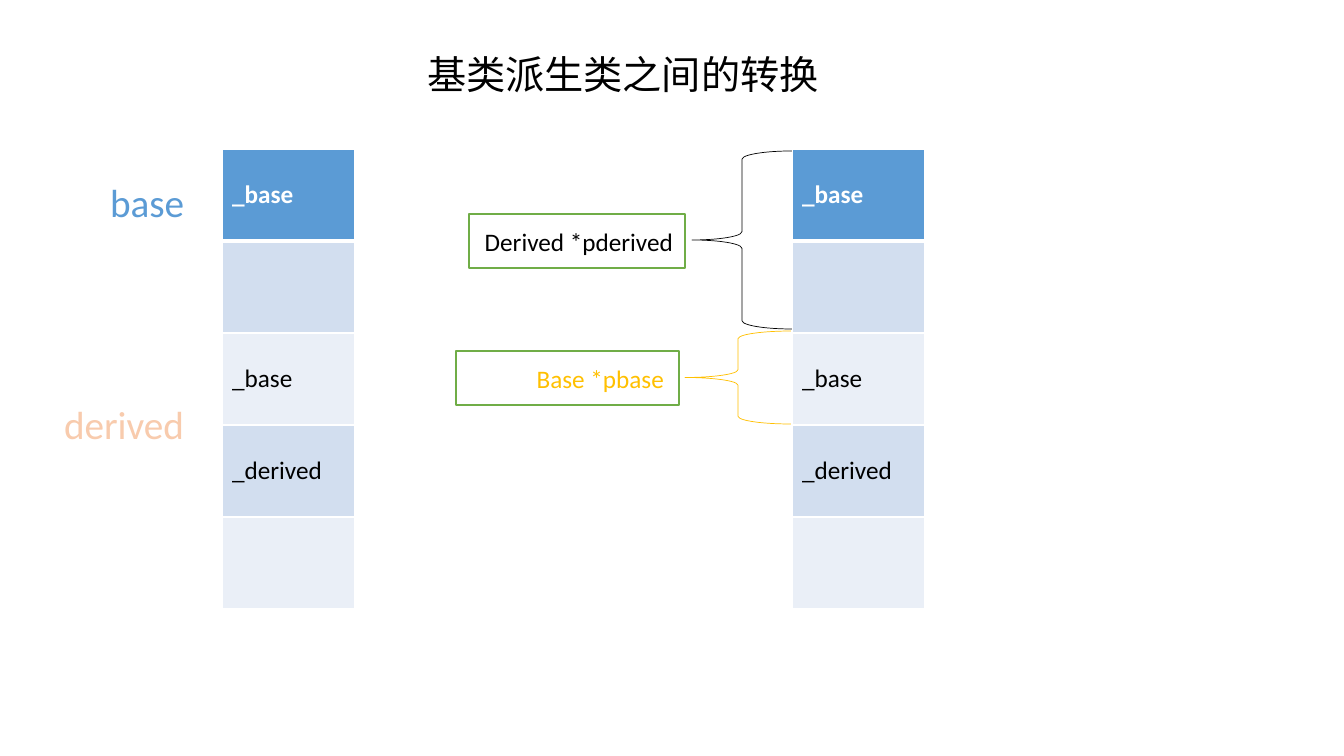
"""Builds the slide on conversion between base and derived class pointers."""
from lxml import etree
from pptx import Presentation
from pptx.dml.color import RGBColor
from pptx.enum.shapes import MSO_SHAPE
from pptx.enum.text import MSO_ANCHOR, PP_ALIGN
from pptx.oxml.ns import qn
from pptx.util import Emu, Pt

RECTANGLE, BRACE = MSO_SHAPE.RECTANGLE, MSO_SHAPE.LEFT_BRACE
TOP, MIDDLE = MSO_ANCHOR.TOP, MSO_ANCHOR.MIDDLE
LEFT, RIGHT = PP_ALIGN.LEFT, PP_ALIGN.RIGHT

BLACK = RGBColor(0x00, 0x00, 0x00)
WHITE = RGBColor(0xFF, 0xFF, 0xFF)
BLUE = RGBColor(0x5B, 0x9B, 0xD5)
BAND_DARK = RGBColor(0xD2, 0xDE, 0xEF)
BAND_LIGHT = RGBColor(0xEA, 0xEF, 0xF7)
PEACH = RGBColor(0xF8, 0xCB, 0xAD)
GREEN = RGBColor(0x70, 0xAD, 0x47)
GOLD = RGBColor(0xFF, 0xC0, 0x00)

FONT = "Calibri"
TITLE = ("基类派生类之间的转换", (417, 45, 451, 57))
MEMBERS = ["_base", "", "_base", "_derived", ""]
MEMORY_LEFTS = [222, 792]
MEMORY_TOP, MEMORY_WIDTH, ROW_HEIGHT = 149, 133, 92
CLASS_LABELS = [
    ("base", BLUE, (54, 173, 140, 57)),
    ("derived", PEACH, (19, 395, 175, 57)),
]
POINTERS = [
    ("Base *pbase", GOLD, (456, 351, 223, 54), 15, (685, 331, 106, 93)),
    ("Derived *pderived", BLACK, (469, 214, 216, 54), 12, (692, 151, 100, 178)),
]


def px(length):
    return Emu(round(length * 914400 / 100.8))


def place(box):
    return [px(length) for length in box]


def write(frame, text, size, color, align=LEFT, bold=False):
    paragraph = frame.paragraphs[0]
    paragraph.alignment = align
    run = paragraph.add_run()
    run.text = text
    run.font.name = FONT
    run.font.size = Pt(size)
    run.font.bold = bold
    run.font.color.rgb = color


def add_border(cell, side, points):
    line = etree.SubElement(cell._tc.get_or_add_tcPr(), qn(f"a:ln{side}"), w=str(Pt(points)))
    fill = etree.SubElement(line, qn("a:solidFill"))
    etree.SubElement(fill, qn("a:srgbClr"), val=str(WHITE))


def add_memory(slide, left):
    box = (left, MEMORY_TOP, MEMORY_WIDTH, ROW_HEIGHT * len(MEMBERS))
    table = slide.shapes.add_table(len(MEMBERS), 1, *place(box)).table
    for index, member in enumerate(MEMBERS):
        header = index == 0
        table.rows[index].height = px(ROW_HEIGHT)
        cell = table.cell(index, 0)
        cell.vertical_anchor = MIDDLE
        for side in "LRTB":
            thick = (index, side) in [(0, "B"), (1, "T")]
            add_border(cell, side, 3 if thick else 1)
        cell.fill.solid()
        cell.fill.fore_color.rgb = BLUE if header else (BAND_LIGHT, BAND_DARK)[index % 2]
        if member:
            write(cell.text_frame, member, 18, WHITE if header else BLACK, bold=header)


def add_outlined(slide, kind, box, color, points):
    shape = slide.shapes.add_shape(kind, *place(box))
    shape.shadow.inherit = False
    shape.fill.background()
    shape.line.color.rgb = color
    shape.line.width = Pt(points)
    return shape


def main():
    deck = Presentation()
    deck.slide_width, deck.slide_height = px(1344), px(756)
    slide = deck.slides.add_slide(deck.slide_layouts[5])

    heading, heading_box = TITLE
    title = slide.shapes.title
    title.left, title.top, title.width, title.height = place(heading_box)
    title.text_frame.vertical_anchor = TOP
    write(title.text_frame, heading, 28, BLACK)

    for left in MEMORY_LEFTS:
        add_memory(slide, left)

    for name, color, box in CLASS_LABELS:
        label = slide.shapes.add_textbox(*place(box)).text_frame
        label.word_wrap = True
        write(label, name, 28, color, RIGHT)

    for declaration, color, box, inset, span in POINTERS:
        pointer = add_outlined(slide, RECTANGLE, box, GREEN, 1)
        pointer.fill.solid()
        pointer.fill.fore_color.rgb = WHITE
        frame = pointer.text_frame
        frame.vertical_anchor = MIDDLE
        frame.margin_right = px(inset)
        write(frame, declaration, 18, color, RIGHT)
        add_outlined(slide, BRACE, span, color, 0.5)

    deck.save("out.pptx")


if __name__ == "__main__":
    main()
